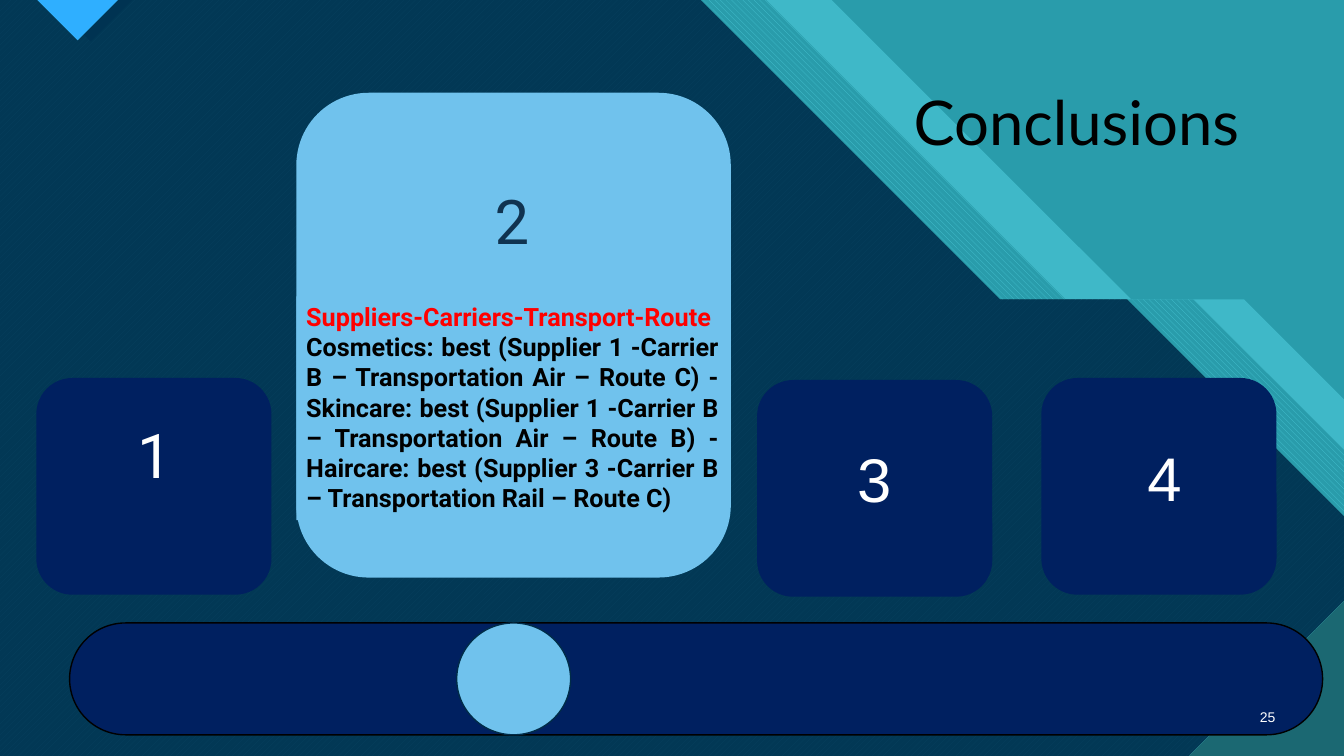
from lxml import etree
from pptx import Presentation
from pptx import util as u
from pptx.dml.color import RGBColor
from pptx.enum import dml, shapes, text
from pptx.oxml.ns import qn

WIDTH, HEIGHT = u.Inches(13.33), u.Inches(7.5)
COLORS = {
    "teal": "299CAB", "aqua": "47C3D3", "pine": "1B6872", "deep": "003352",
    "azure": "2FAFFF", "navy": "002060", "sky": "70C2ED", "ink": "103350",
    "rim": "002C48", "red": "FF0000", "black": "000000", "white": "FFFFFF",
}
SHAPE = shapes.MSO_SHAPE
PATTERN = dml.MSO_PATTERN
ALIGN = text.PP_ALIGN
FULL = (0, 0, 100, 100)


def color(name):
    """Return the named colour."""
    return RGBColor.from_string(COLORS[name])


def within(box, left, top, width, height):
    """Turn percentages of a box into percentages of the slide."""
    return (box[0] + box[2] * left / 100, box[1] + box[3] * top / 100,
            box[2] * width / 100, box[3] * height / 100)


def lengths(box):
    """Turn percentages of the slide into lengths."""
    return [int(share * size / 100) for share, size in zip(box, (WIDTH, HEIGHT) * 2)]


def paint(shape, fill, line=None, pattern=None, back=None, opacity=None):
    """Set the fill and outline of a shape."""
    shape.shadow.inherit = False
    if pattern is None:
        shape.fill.solid()
    else:
        shape.fill.patterned()
        shape.fill.pattern = pattern
        shape.fill.back_color.rgb = color(back)
    shape.fill.fore_color.rgb = color(fill)
    if opacity is not None:
        tone = shape._element.spPr.find(qn("a:solidFill"))[0]
        etree.SubElement(tone, qn("a:alpha")).set("val", str(opacity * 1000))
    if line:
        shape.line.color.rgb = color(line)
        shape.line.width = u.Pt(1)
    else:
        shape.line.fill.background()


def add_block(slide, kind, box, fill, line=None):
    """Add a filled preset shape."""
    shape = slide.shapes.add_shape(kind, *lengths(box))
    paint(shape, fill, line)
    return shape


def add_polygon(slide, points, fill, **style):
    """Add a closed outline through points given as shares of the slide."""
    corners = [(int(x * WIDTH / 100), int(y * HEIGHT / 100)) for x, y in points]
    builder = slide.shapes.build_freeform(*corners[0])
    builder.add_line_segments(corners[1:], close=True)
    paint(builder.convert_to_shape(), fill, **style)


def write(shape, lines, font="Arial", size=44, align=ALIGN.CENTER, bold=False,
          anchor=text.MSO_ANCHOR.TOP):
    """Fill a shape with paragraphs given as pairs of wording and colour."""
    frame = shape.text_frame
    frame.word_wrap = True
    frame.auto_size = text.MSO_AUTO_SIZE.NONE
    frame.vertical_anchor = anchor
    for index, (wording, tone) in enumerate(lines):
        paragraph = frame.add_paragraph() if index else frame.paragraphs[0]
        paragraph.alignment = align
        run = paragraph.add_run()
        run.text = wording
        run.font.name, run.font.size, run.font.bold = font, u.Pt(size), bold
        run.font.color.rgb = color(tone)


def add_text(slide, box, wording, tone="white", **style):
    """Add a text box holding one paragraph."""
    write(slide.shapes.add_textbox(*lengths(box)), [(wording, tone)], **style)


def draw_backdrop(slide):
    """Draw the stepped diagonal bands and the corner triangles."""
    slide.background.fill.solid()
    slide.background.fill.fore_color.rgb = color("teal")
    ratio = WIDTH / HEIGHT
    step = 39.6
    bands = [
        (61.88, 92.55, "aqua", dict(opacity=74)),
        (57, 88.8, "aqua", dict(pattern=PATTERN.WIDE_DOWNWARD_DIAGONAL, back="teal")),
        (52.13, 83.85, "aqua", dict(pattern=PATTERN.WIDE_UPWARD_DIAGONAL, back="pine")),
        (52.13, 83.85, "deep", dict(opacity=90)),
    ]
    for edge, ledge, fill, style in bands:
        add_polygon(slide, [(0, 0), (edge, 0), (edge + step / ratio, step), (ledge, step),
                            (100, step + (100 - ledge) * ratio), (100, 100), (0, 100)],
                    fill, **style)
    add_polygon(slide, [(3.6, 0), (6.75, 5.47), (9.83, 0)], "deep")
    add_polygon(slide, [(2.78, 0), (5.78, 5.33), (8.78, 0)], "azure",
                pattern=PATTERN.DARK_HORIZONTAL, back="pine")
    add_polygon(slide, [(88.45, 100), (100, 100), (100, 79.47)], "pine",
                pattern=PATTERN.DARK_HORIZONTAL, back="aqua")


def draw_card(slide, box, number, place, font="Arial"):
    """Draw a numbered navy card."""
    add_block(slide, SHAPE.ROUNDED_RECTANGLE, box, "navy")
    add_text(slide, within(box, *place), number, font=font)


def draw_feature(slide, box):
    """Draw the large card with its number and conclusion."""
    add_block(slide, SHAPE.ROUNDED_RECTANGLE, box, "sky")
    number = add_block(slide, SHAPE.RECTANGLE, within(box, 15.08, 17.67, 69.14, 17.46), "sky")
    write(number, [("2", "ink")], font="Roboto")
    body = add_block(slide, SHAPE.RECTANGLE, within(box, 0, 42, 99.5, 46.15), "sky")
    write(body, [
        ("Suppliers-Carriers-Transport-Route", "red"),
        ("Cosmetics: best (Supplier 1 -Carrier B – Transportation Air – Route C) - "
         "Skincare: best (Supplier 1 -Carrier B – Transportation Air – Route B) - "
         "Haircare: best (Supplier 3 -Carrier B – Transportation Rail – Route C)", "black"),
    ], font="Roboto", size=18, bold=True, align=ALIGN.JUSTIFY)


def draw_progress(slide, box):
    """Draw the progress bar with its marker and the page number."""
    bar = add_block(slide, SHAPE.ROUNDED_RECTANGLE, box, "navy", line="black")
    bar.adjustments[0] = 0.5
    add_block(slide, SHAPE.OVAL, within(box, 30.89, 0, 9.09, 100), "sky", line="rim")
    add_text(slide, within(box, 93.48, 65.8, 3.54, 36), "25", size=10,
             align=ALIGN.RIGHT, anchor=text.MSO_ANCHOR.MIDDLE)


def draw_title(slide, box):
    """Place the title in front of the backdrop."""
    title = slide.shapes.title
    title.left, title.top, title.width, title.height = lengths(box)
    write(title, [("Conclusions", "black")], font="Lato")
    title._element.getparent().append(title._element)


def main():
    """Build and save the presentation."""
    presentation = Presentation()
    presentation.slide_width, presentation.slide_height = WIDTH, HEIGHT
    slide = presentation.slides.add_slide(presentation.slide_layouts[5])
    draw_backdrop(slide)
    card_size = (17.5, 28.67)
    draw_card(slide, (2.7, 50, *card_size), "1", (-10.7, 15.8, 121.9, 39), font="Roboto")
    draw_card(slide, (56.33, 50.27, *card_size), "3", (9.44, 25.6, 80.7, 39))
    draw_card(slide, (77.48, 50, *card_size), "4", (28.8, 26.5, 47.2, 39))
    draw_feature(slide, (22.05, 12.27, 32.33, 64.13))
    draw_title(slide, within(FULL, 57.98, 10.4, 44.25, 21.07))
    draw_progress(slide, (5.18, 82.4, 93.23, 14.8))
    presentation.save("out.pptx")


if __name__ == "__main__":
    main()
